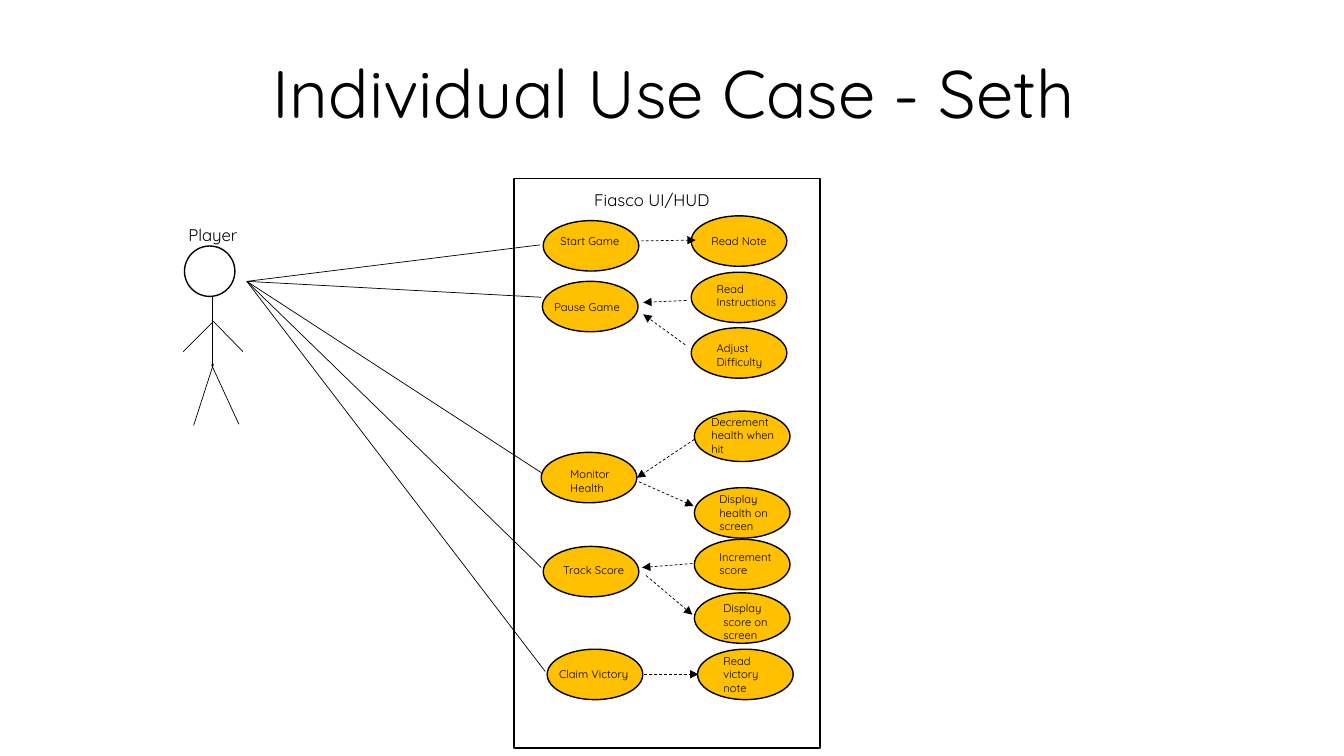
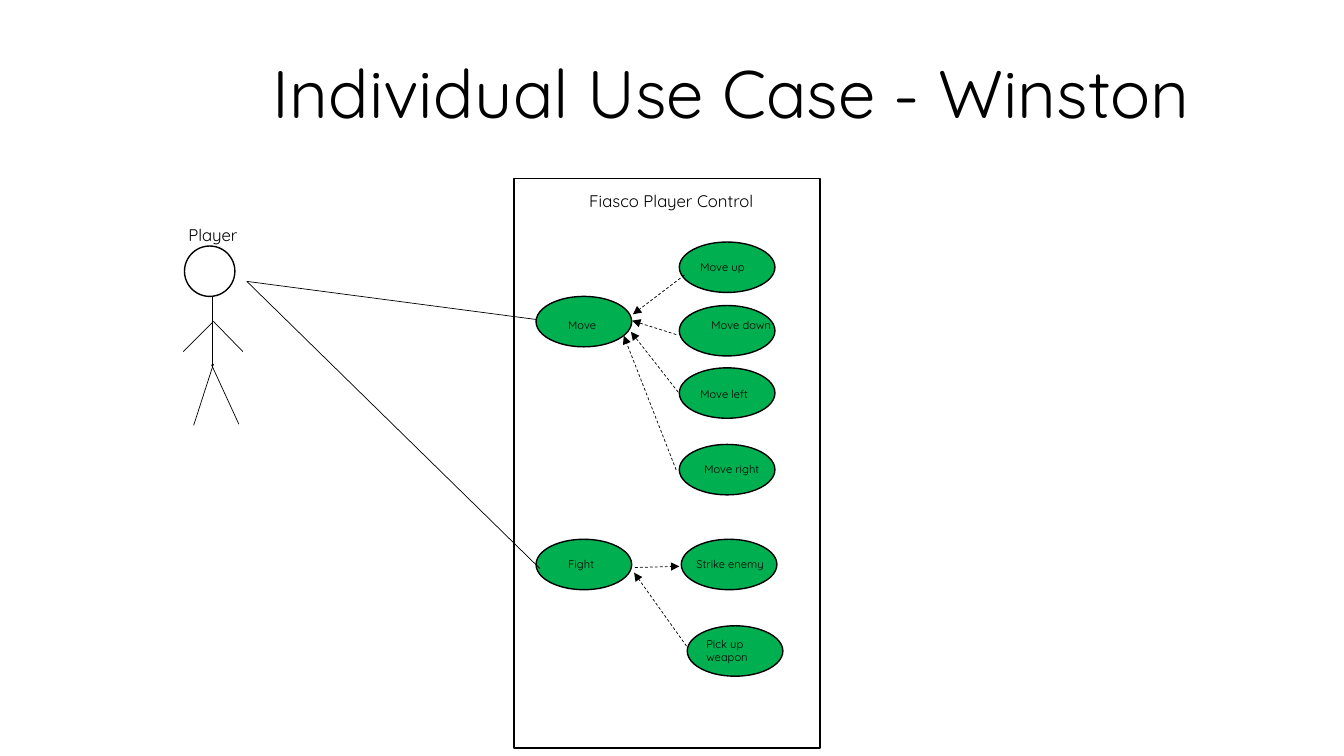
import typing

import pptx
import pptx.dml.color
import pptx.enum.dml
import pptx.enum.shapes
import pptx.enum.text
import pptx.oxml.ns
import pptx.util
from lxml import etree
from pptx.util import Cm

BLACK = pptx.dml.color.RGBColor(0x00, 0x00, 0x00)
WHITE = pptx.dml.color.RGBColor(0xFF, 0xFF, 0xFF)
GOLD = pptx.dml.color.RGBColor(0xFF, 0xC0, 0x00)
GREEN = pptx.dml.color.RGBColor(0x00, 0xB0, 0x50)

FONT = "Quicksand"
SHAPES = pptx.enum.shapes.MSO_SHAPE
CENTER = pptx.enum.text.PP_ALIGN.CENTER

OVAL_WIDTH, OVAL_HEIGHT = 2.41, 1.27
PLAYER_HAND = (6.22, 7.09)
PLAYER_LIMBS = [
    ((5.36, 7.49), (5.36, 9.27)),
    ((5.38, 8.1), (4.62, 8.86)),
    ((5.38, 8.1), (6.12, 8.86)),
    ((5.38, 9.17), (4.88, 10.72)),
    ((5.33, 9.19), (6.02, 10.69)),
]


class UseCase(typing.NamedTuple):
    label: str
    oval: tuple
    label_at: tuple
    label_width: float = 2.03
    lines: int = 1


SETH_CASES = [
    UseCase("Start Game", (13.69, 5.56), (13.87, 5.79), 2.57),
    UseCase("Read Note", (17.42, 5.44), (17.68, 5.77)),
    UseCase("Pause Game", (13.67, 7.09), (13.72, 7.44), 2.57),
    UseCase("Read Instructions", (17.42, 6.86), (17.81, 6.99), lines=2),
    UseCase("Adjust Difficulty", (17.42, 8.26), (17.81, 8.48), lines=2),
    UseCase("Monitor Health", (13.64, 11.4), (14.12, 11.66), lines=2),
    UseCase("Decrement health when hit", (17.5, 10.36), (17.68, 10.34), 2.44, 3),
    UseCase("Display health on screen", (17.5, 12.29), (17.88, 12.29), lines=3),
    UseCase("Track Score", (13.69, 13.77), (13.94, 14.07), 2.39),
    UseCase("Increment score", (17.5, 13.59), (17.88, 13.74), lines=2),
    UseCase("Display score on screen", (17.5, 14.94), (17.98, 15.04), lines=3),
    UseCase("Claim Victory", (13.79, 16.36), (13.84, 16.69), 3.45),
    UseCase("Read victory note", (17.58, 16.36), (17.98, 16.36), lines=3),
]
SETH_ASSOCIATIONS = [
    (13.61, 6.17), (13.64, 7.49), (13.64, 11.91), (13.64, 14.3), (13.74, 16.92),
]
SETH_DEPENDENCIES = [
    ((16.15, 6.07), (17.53, 6.05)),
    ((17.3, 7.57), (16.21, 7.62)),
    ((17.27, 8.69), (16.21, 7.92)),
    ((17.5, 11.07), (16.05, 12.04)),
    ((16.1, 12.14), (17.48, 12.75)),
    ((17.45, 14.2), (16.18, 14.3)),
    ((16.28, 14.5), (17.45, 15.49)),
    ((16.23, 16.99), (17.6, 16.99)),
]

WINSTON_CASES = [
    UseCase("Move", (13.51, 7.47), (14.07, 7.9), 2.13),
    UseCase("Move up", (17.12, 6.1), (17.4, 6.43), 2.13),
    UseCase("Move down", (17.12, 7.7), (17.68, 7.9), 2.13),
    UseCase("Move left", (17.12, 9.27), (17.4, 9.63), 2.13),
    UseCase("Move right", (17.12, 11.2), (17.5, 11.53), 2.13),
    UseCase("Fight", (13.51, 13.59), (14.07, 13.92), 1.42),
    UseCase("Strike enemy", (17.17, 13.59), (17.3, 13.92), 2.67),
    UseCase("Pick up weapon", (17.32, 15.77), (17.55, 15.93), 2.41, 2),
]
WINSTON_ASSOCIATIONS = [(13.51, 8.05), (13.61, 14.33)]
WINSTON_DEPENDENCIES = [
    ((17.25, 6.93), (15.95, 7.92)),
    ((17.04, 8.43), (15.93, 8.08)),
    ((17.09, 9.88), (15.9, 8.36)),
    ((17.04, 11.84), (15.72, 8.46)),
    ((16, 14.3), (17.12, 14.27)),
    ((17.3, 16.28), (15.98, 14.43)),
]


def add_text(slide, text, left, top, width, height, size, align=None):
    box = slide.shapes.add_textbox(Cm(left), Cm(top), Cm(width), Cm(height))
    frame = box.text_frame
    frame.word_wrap = True
    frame.auto_size = pptx.enum.text.MSO_AUTO_SIZE.SHAPE_TO_FIT_TEXT
    paragraph = frame.paragraphs[0]
    paragraph.text = text
    paragraph.alignment = align
    paragraph.font.name = FONT
    paragraph.font.size = pptx.util.Pt(size)
    paragraph.font.color.rgb = BLACK


def add_outlined(slide, kind, left, top, width, height, fill):
    shape = slide.shapes.add_shape(kind, Cm(left), Cm(top), Cm(width), Cm(height))
    shape.shadow.inherit = False
    shape.fill.solid()
    shape.fill.fore_color.rgb = fill
    shape.line.color.rgb = BLACK
    shape.line.width = pptx.util.Pt(1)


def add_line(slide, start, end):
    line = slide.shapes.add_connector(
        pptx.enum.shapes.MSO_CONNECTOR.STRAIGHT, *map(Cm, start + end))
    line.line.color.rgb = BLACK
    line.line.width = pptx.util.Pt(0.5)
    etree.SubElement(line._element.spPr, pptx.oxml.ns.qn("a:effectLst"))
    return line


def add_dependency(slide, start, end):
    arrow = add_line(slide, start, end)
    arrow.line.dash_style = pptx.enum.dml.MSO_LINE.DASH
    outline = arrow.line._get_or_add_ln()
    etree.SubElement(outline, pptx.oxml.ns.qn("a:tailEnd"), type="triangle")


def add_player(slide):
    add_text(slide, "Player", 4.17, 5.54, 2.39, 0.76, 12, CENTER)
    add_outlined(slide, SHAPES.FLOWCHART_CONNECTOR, 4.65, 6.2, 1.27, 1.27, WHITE)
    for start, end in PLAYER_LIMBS:
        add_line(slide, start, end)


def add_system(slide, name, left, top):
    add_outlined(slide, SHAPES.RECTANGLE, 12.95, 4.5, 7.72, 14.35, WHITE)
    add_text(slide, name, left, top, 7.62, 0.76, 12, CENTER)


def add_use_case(slide, case, fill):
    add_outlined(slide, SHAPES.OVAL, *case.oval, OVAL_WIDTH, OVAL_HEIGHT, fill)
    label_height = 0.28 + 0.33 * case.lines
    add_text(slide, case.label, *case.label_at, case.label_width, label_height, 8)


def add_diagram(deck, title, title_width, system, fill, cases, associations, dependencies):
    slide = deck.slides.add_slide(deck.slide_layouts[6])
    add_text(slide, title, 6.63, 1.17, title_width, 2.31, 48)
    add_player(slide)
    add_system(slide, *system)
    for case in cases:
        add_use_case(slide, case, fill)
    for end in associations:
        add_line(slide, PLAYER_HAND, end)
    for start, end in dependencies:
        add_dependency(slide, start, end)


def main():
    deck = pptx.Presentation()
    deck.slide_width = Cm(33.87)
    deck.slide_height = Cm(19.05)
    add_diagram(deck, "Individual Use Case - Seth", 23.04,
                ("Fiasco UI/HUD", 12.62, 4.65), GOLD,
                SETH_CASES, SETH_ASSOCIATIONS, SETH_DEPENDENCIES)
    add_diagram(deck, "Individual Use Case - Winston", 25.2,
                ("Fiasco Player Control", 13.11, 4.67), GREEN,
                WINSTON_CASES, WINSTON_ASSOCIATIONS, WINSTON_DEPENDENCIES)
    deck.save("out.pptx")


if __name__ == "__main__":
    main()
